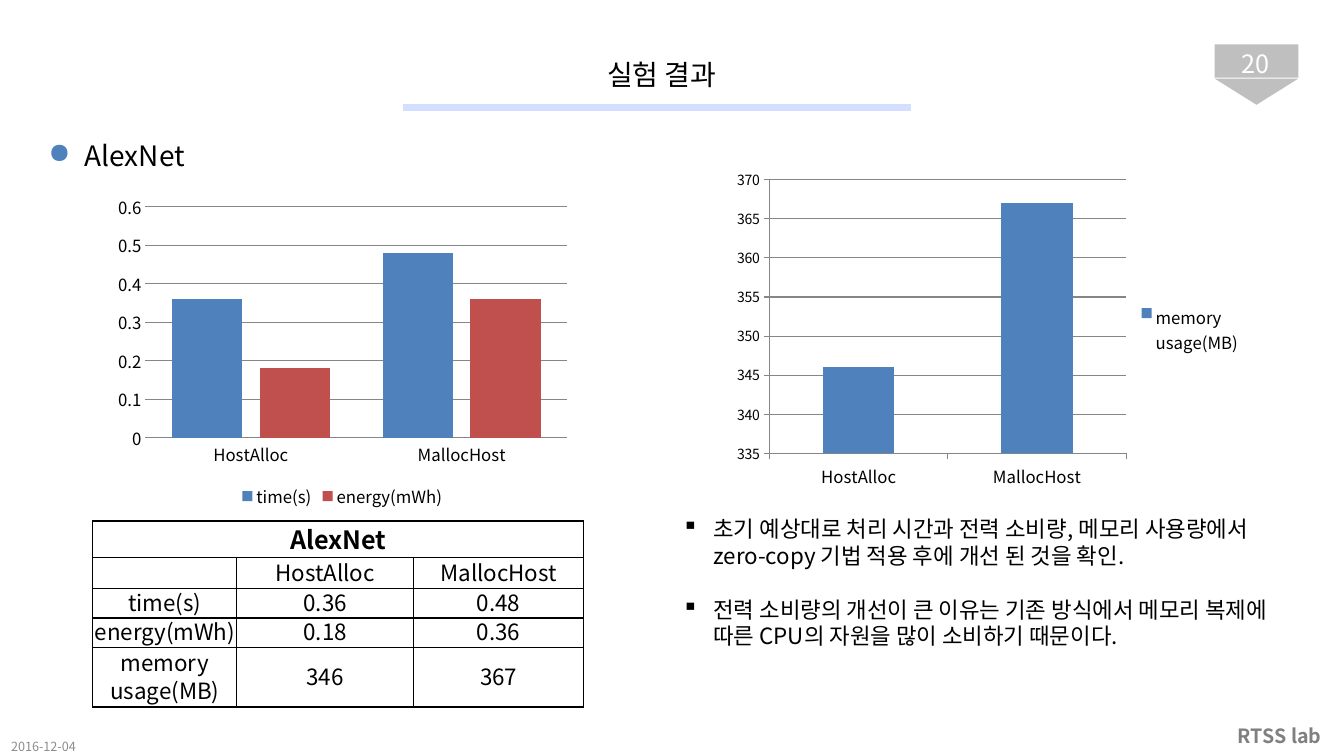
"""Build the AlexNet experiment result slide."""
from dataclasses import dataclass

from lxml.etree import SubElement
from pptx import Presentation
from pptx.chart.data import CategoryChartData
from pptx.dml.color import RGBColor
from pptx.enum.chart import XL_CHART_TYPE, XL_LEGEND_POSITION, XL_TICK_MARK
from pptx.enum.shapes import MSO_CONNECTOR, MSO_SHAPE
from pptx.enum.text import MSO_ANCHOR, PP_ALIGN
from pptx.oxml.ns import qn
from pptx.slide import Slide
from pptx.util import Cm, Pt

FONT = "Noto Sans CJK KR"
COLORS = {
    "black": "000000", "white": "FFFFFF", "badge": "BFBFBF", "rule": "D4DEFF",
    "lab": "808080", "date": "8C8C8C", "blue": "4F81BD", "red": "C0504D",
    "axis": "868686",
}
CATEGORIES = ["HostAlloc", "MallocHost"]
TABLE_ROWS = [
    ["AlexNet", "", ""],
    ["", *CATEGORIES],
    ["time(s)", "0.36", "0.48"],
    ["energy(mWh)", "0.18", "0.36"],
    ["memory\vusage(MB)", "346", "367"],
]
COLUMN_WIDTHS = [3.63, 4.45, 4.29]
ROW_HEIGHTS = [0.91, 0.74, 0.74, 0.74, 1.5]


@dataclass
class TextItem:
    area: tuple[float, float, float, float]
    paragraphs: list[str]
    size: float
    color: str = "black"
    align: PP_ALIGN = PP_ALIGN.LEFT
    anchor: MSO_ANCHOR = MSO_ANCHOR.MIDDLE
    bold: bool = False
    bullet: str = ""
    bullet_color: str = "black"
    indent: float = 0
    insets: tuple[float, float] = (0.28, 0.15)
    line_height: float | None = None


@dataclass
class BarChart:
    area: tuple[float, float, float, float]
    plot: tuple[float, float, float, float]
    series: dict[str, tuple[list[float], str]]
    scale: tuple[float, float, float]
    gap: int
    overlap: int
    tick: XL_TICK_MARK
    value_size: float
    value_line: bool
    legend: XL_LEGEND_POSITION


TEXTS = [
    TextItem((30.61, 1.22, 2.06, 0.76), ["20"], 18, "white", PP_ALIGN.CENTER),
    TextItem((5.21, 1.12, 22.94, 1.5), ["실험 결과"], 20, align=PP_ALIGN.CENTER, indent=0.91),
    TextItem((30.61, 18.03, 3.28, 1.02), ["RTSS lab"], 14, "lab", PP_ALIGN.CENTER, bold=True),
    TextItem((0, 18.54, 2.67, 0.53), ["2016-12-04"], 9, "date"),
    TextItem((0.94, 3.33, 16.48, 1.14), ["AlexNet"], 20, anchor=MSO_ANCHOR.TOP,
             bullet="●", bullet_color="blue", indent=0.91),
    TextItem((16.94, 12.85, 15.8, 3.68), [
        "초기 예상대로 처리 시간과 전력 소비량, 메모리 사용량에서 zero-copy 기법 적용 후에 개선 된 것을 확인.",
        "전력 소비량의 개선이 큰 이유는 기존 방식에서 메모리 복제에 따른 CPU의 자원을 많이 소비하기 때문이다.",
    ], 16, anchor=MSO_ANCHOR.TOP, bullet="▪", indent=0.79, insets=(0.25, 0.13), line_height=19.2),
]
CHARTS = [
    BarChart((2.72, 4.72, 11.81, 8.2), (0.08, 0.06, 0.9, 0.71),
             {"time(s)": ([0.36, 0.48], "blue"), "energy(mWh)": ([0.18, 0.36], "red")},
             (0, 0.6, 0.1), 75, -25, XL_TICK_MARK.NONE, 12, False, XL_LEGEND_POSITION.BOTTOM),
    BarChart((18.34, 4.11, 13.21, 8.41), (0.08, 0.05, 0.68, 0.82),
             {"memory \nusage(MB)": ([346, 367], "blue")},
             (335, 370, 5), 150, 0, XL_TICK_MARK.OUTSIDE, 10, True, XL_LEGEND_POSITION.RIGHT),
]


def rgb(name: str) -> RGBColor:
    return RGBColor.from_string(COLORS[name])


def style_font(font, size: float, color: str = "black", bold: bool = False) -> None:
    font.name, font.size, font.bold = FONT, Pt(size), bold
    font.color.rgb = rgb(color)


def style_paragraph(para, size: float, color: str, bold: bool) -> None:
    for span in para.runs:
        style_font(span.font, size, color, bold)
        SubElement(span.font._element, qn("a:ea"), typeface=FONT)


def add_text(page: Slide, item: TextItem) -> None:
    box = page.shapes.add_textbox(*map(Cm, item.area))
    frame = box.text_frame
    frame.word_wrap, frame.vertical_anchor = True, item.anchor
    frame.margin_left = frame.margin_right = Cm(item.insets[0])
    frame.margin_top = frame.margin_bottom = Cm(item.insets[1])
    frame.text = "\n".join(item.paragraphs)
    for index, para in enumerate(frame.paragraphs):
        para.alignment = item.align
        if item.line_height:
            para.line_spacing = Pt(item.line_height)
            if index:
                para.space_before = Pt(item.line_height)
        properties = para._p.get_or_add_pPr()
        if item.indent:
            properties.set("marL", str(Cm(item.indent)))
            properties.set("indent", str(-Cm(item.indent)))
        if item.bullet:
            color = SubElement(properties, qn("a:buClr"))
            SubElement(color, qn("a:srgbClr"), val=COLORS[item.bullet_color])
            SubElement(properties, qn("a:buChar"), char=item.bullet)
        style_paragraph(para, item.size, item.color, item.bold)


def add_badge_and_rule(page: Slide) -> None:
    for kind, top, height, turn in ((MSO_SHAPE.RECTANGLE, 1.12, 0.84, 0),
                                    (MSO_SHAPE.ISOSCELES_TRIANGLE, 1.98, 0.66, 180)):
        shape = page.shapes.add_shape(kind, Cm(30.61), Cm(top), Cm(2.11), Cm(height))
        shape.rotation = turn
        shape.shadow.inherit = False
        shape.fill.solid()
        shape.fill.fore_color.rgb = rgb("badge")
        shape.line.fill.background()
    rule = page.shapes.add_connector(MSO_CONNECTOR.STRAIGHT, Cm(10.16), Cm(2.72), Cm(22.96), Cm(2.72))
    rule.line.color.rgb, rule.line.width = rgb("rule"), Pt(5)
    SubElement(rule._element.spPr, qn("a:effectLst"))


def add_borders(cell) -> None:
    properties = cell._tc.get_or_add_tcPr()
    for position, side in enumerate(("lnL", "lnR", "lnT", "lnB")):
        line = properties.makeelement(qn(f"a:{side}"), {"w": str(Pt(1))})
        properties.insert(position, line)
        fill = SubElement(line, qn("a:solidFill"))
        SubElement(fill, qn("a:srgbClr"), val=COLORS["black"])


def add_result_table(page: Slide) -> None:
    table = page.shapes.add_table(len(ROW_HEIGHTS), len(COLUMN_WIDTHS), Cm(2.34), Cm(13.13),
                                  Cm(sum(COLUMN_WIDTHS)), Cm(sum(ROW_HEIGHTS))).table
    table.first_row = table.horz_banding = False
    for column, width in zip(table.columns, COLUMN_WIDTHS):
        column.width = Cm(width)
    for row_index, (row, height) in enumerate(zip(table.rows, ROW_HEIGHTS)):
        row.height = Cm(height)
        heading = row_index == 0
        for cell, text in zip(row.cells, TABLE_ROWS[row_index]):
            cell.fill.background()
            add_borders(cell)
            cell.vertical_anchor = MSO_ANCHOR.MIDDLE
            cell.margin_left = cell.margin_right = cell.margin_top = Cm(0.03)
            cell.margin_bottom = 0
            cell.text_frame.text = text
            para = cell.text_frame.paragraphs[0]
            para.alignment = PP_ALIGN.CENTER
            para.line_spacing = Pt(24 if heading else 20)
            style_paragraph(para, 18 if heading else 16, "black", heading)
    table.cell(0, 0).merge(table.cell(0, 2))


def add_bar_chart(page: Slide, item: BarChart) -> None:
    data = CategoryChartData()
    data.categories = CATEGORIES
    for name, (values, _) in item.series.items():
        data.add_series(name, values)
    chart = page.shapes.add_chart(XL_CHART_TYPE.COLUMN_CLUSTERED, *map(Cm, item.area), data).chart
    style_font(chart.font, 10)
    chart.has_title = False
    chart.has_legend = True
    chart.legend.position, chart.legend.include_in_layout = item.legend, False
    style_font(chart.legend.font, 12)
    plot = chart.plots[0]
    plot.vary_by_categories, plot.gap_width, plot.overlap = False, item.gap, item.overlap
    for series, (_, color) in zip(plot.series, item.series.values()):
        series.format.fill.solid()
        series.format.fill.fore_color.rgb = rgb(color)
    for axis, size in ((chart.category_axis, 12), (chart.value_axis, item.value_size)):
        axis.major_tick_mark, axis.minor_tick_mark = item.tick, XL_TICK_MARK.NONE
        axis.format.line.color.rgb = rgb("axis")
        style_font(axis.tick_labels.font, size)
    axis = chart.value_axis
    axis.minimum_scale, axis.maximum_scale, axis.major_unit = item.scale
    axis.major_gridlines.format.line.color.rgb = rgb("axis")
    if not item.value_line:
        axis.format.line.fill.background()
    area = chart._chartSpace.chart.plotArea
    for old in area.findall(qn("c:layout")):
        area.remove(old)
    layout = area.makeelement(qn("c:layout"), {})
    area.insert(0, layout)
    manual = SubElement(layout, qn("c:manualLayout"))
    settings = {"layoutTarget": "inner", "xMode": "edge", "yMode": "edge",
                **dict(zip("xywh", item.plot))}
    for tag, value in settings.items():
        SubElement(manual, qn(f"c:{tag}"), val=str(value))


def main() -> None:
    deck = Presentation()
    deck.slide_width, deck.slide_height = Cm(33.87), Cm(19.05)
    page = deck.slides.add_slide(deck.slide_layouts[6])
    add_badge_and_rule(page)
    for text in TEXTS:
        add_text(page, text)
    add_result_table(page)
    for chart in CHARTS:
        add_bar_chart(page, chart)
    deck.save("out.pptx")


if __name__ == "__main__":
    main()
